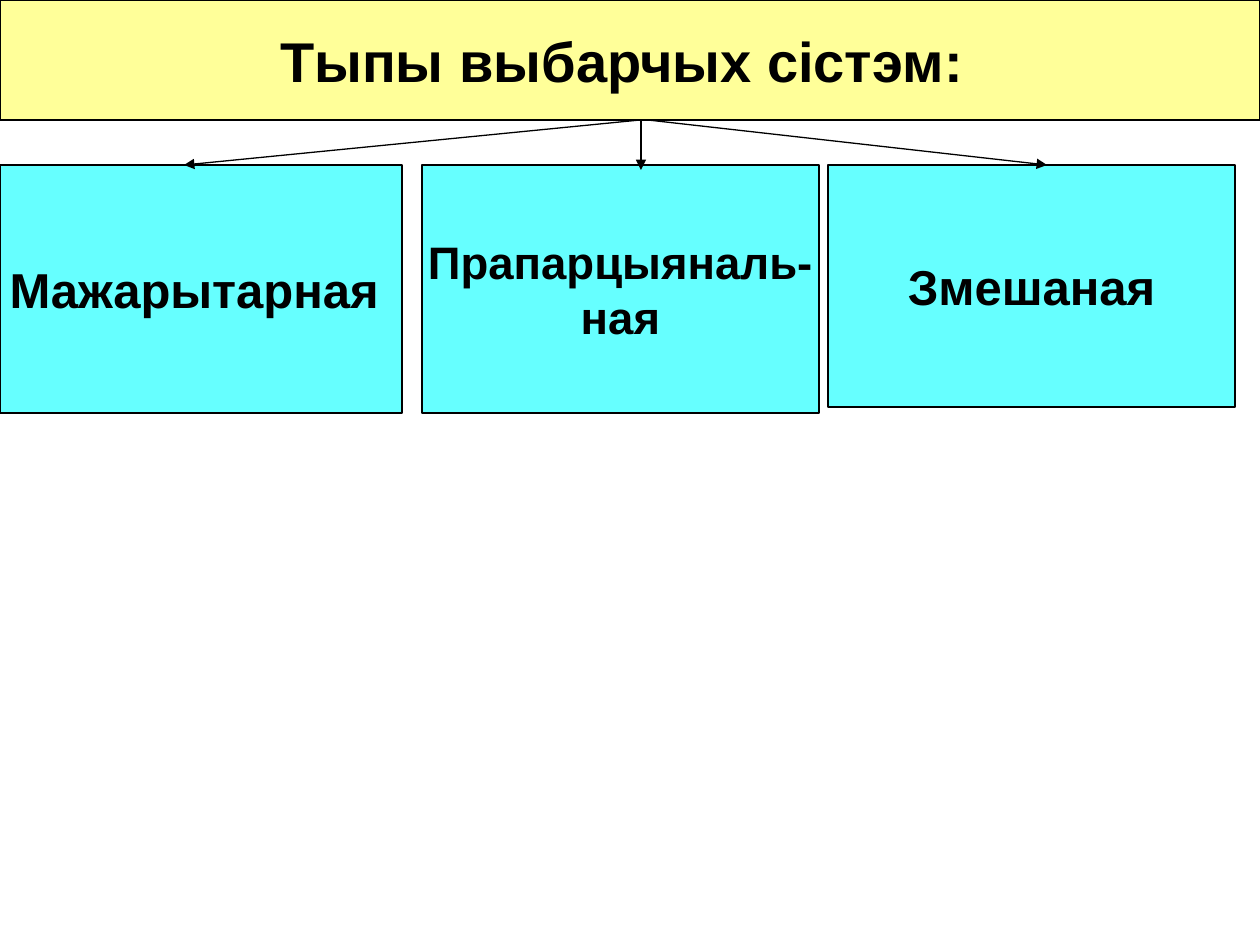
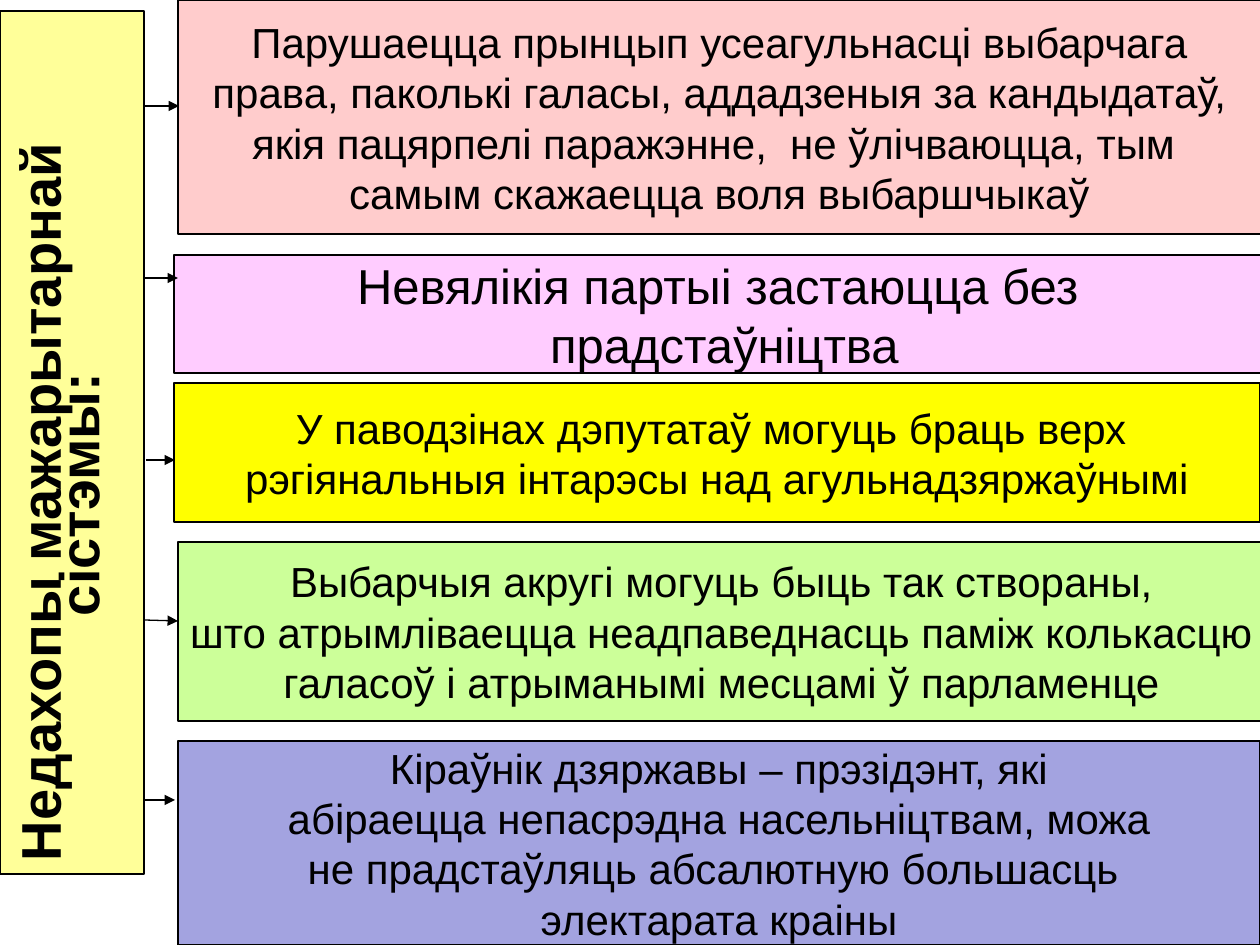
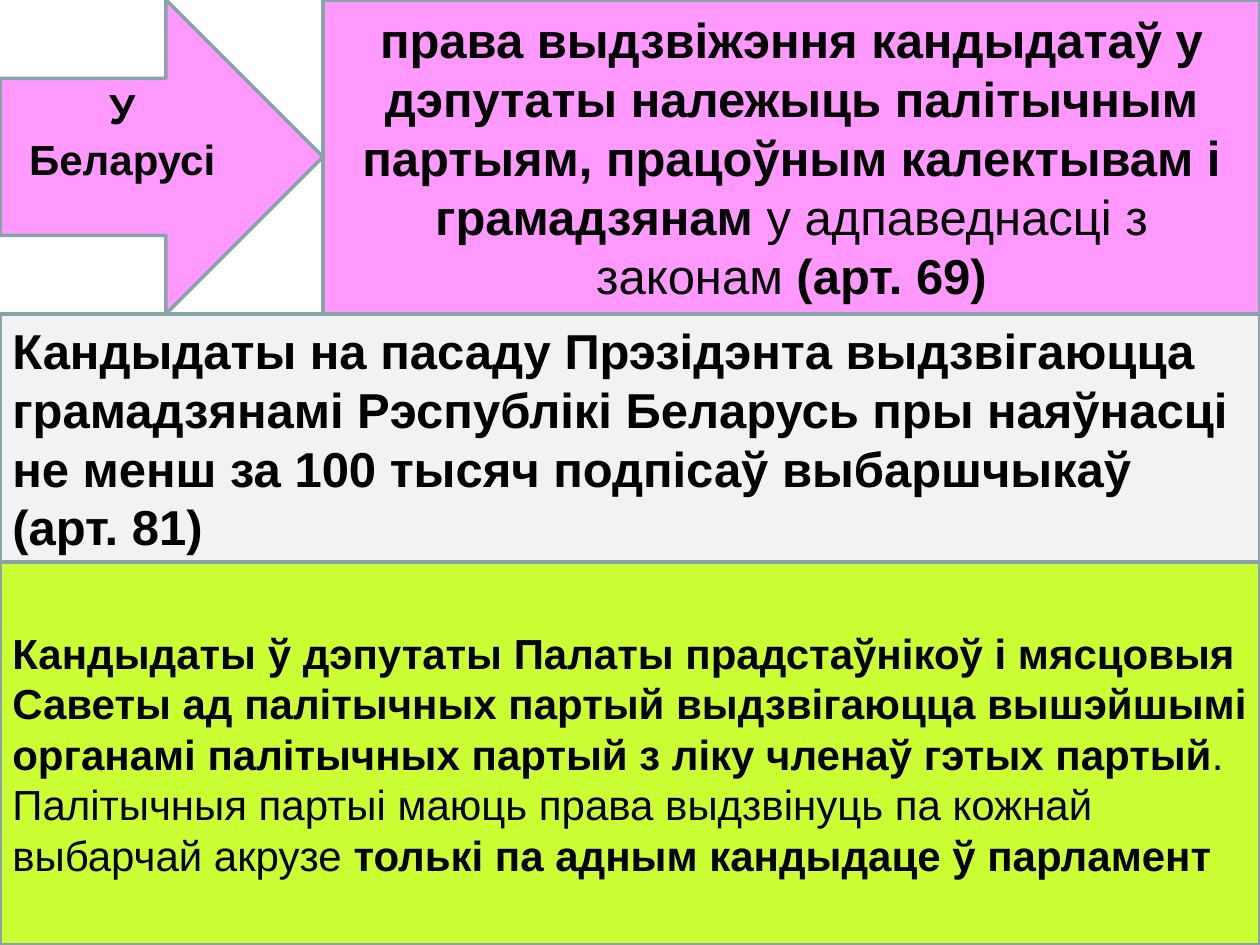
import pptx
import pptx.util
import pptx.dml.color
import pptx.enum.shapes
import pptx.enum.text
import pptx.oxml
import pptx.oxml.ns

PX = 914400 / 126
FONT = "Arial"
SHAPE = pptx.enum.shapes.MSO_SHAPE
ALIGN = pptx.enum.text.PP_ALIGN
TITLE_ONLY, BLANK = 5, 6

COLORS = {
    "black": "000000",
    "cream": "FFFF99",
    "aqua": "66FFFF",
    "rose": "FFCCCC",
    "lilac": "FFCCFF",
    "yellow": "FFFF00",
    "lime": "CCFF99",
    "lavender": "A3A3E0",
    "pink": "FF99FF",
    "grey": "F2F2F2",
    "acid": "CCFF33",
    "steel": "89A4A7",
}

SYSTEMS_TITLE = ["Тыпы выбарчых сістэм: "]
SYSTEMS = [
    ((0, 165, 402, 248), 28, ["Мажарытарная "]),
    ((422, 165, 397, 248), 26, ["Прапарцыяналь-", "ная"]),
    ((828, 165, 407, 242), 28, ["Змешаная"]),
]
SYSTEM_ARROWS = [(640, 120, 184, 165), (641, 120, 641, 170), (648, 120, 1047, 165)]

FLAWS_TITLE = ["Недахопы мажарытарнай", " сістэмы:"]
FLAWS = [
    ((178, 0, 1083, 234), "rose", 24, [
        "Парушаецца прынцып усеагульнасці выбарчага",
        " права, паколькі галасы, аддадзеныя за кандыдатаў, ",
        "якія пацярпелі паражэнне,  не ўлічваюцца, тым ",
        "самым скажаецца воля выбаршчыкаў",
    ]),
    ((174, 255, 1087, 118), "lilac", 28, [
        "Невялікія партыі застаюцца без",
        " прадстаўніцтва",
    ]),
    ((174, 383, 1086, 139), "yellow", 24, [
        "У паводзінах дэпутатаў могуць браць верх ",
        "рэгіянальныя інтарэсы над агульнадзяржаўнымі",
    ]),
    ((178, 542, 1087, 179), "lime", 24, [
        "Выбарчыя акругі могуць быць так створаны,",
        " што атрымліваецца неадпаведнасць паміж колькасцю ",
        "галасоў і атрыманымі месцамі ў парламенце",
    ]),
    ((178, 741, 1082, 204), "lavender", 24, [
        "Кіраўнік дзяржавы – прэзідэнт, які",
        " абіраецца непасрэдна насельніцтвам, можа ",
        "не прадстаўляць абсалютную большасць ",
        "электарата краіны",
    ]),
]
FLAW_ARROWS = [
    (145, 106, 179, 106),
    (145, 278, 178, 278),
    (146, 460, 175, 460),
    (144, 620, 178, 621),
    (145, 800, 175, 800),
]

COUNTRY = ["У Беларусі"]
NOMINATION = [
    ((323, 0, 937, 314), "pink", 28, ALIGN.CENTER, (
        "права выдзвіжэння кандыдатаў у дэпутаты належыць палітычным партыям, "
        "працоўным калектывам і грамадзянам",
        " у адпаведнасці з законам ",
        "(арт. 69)",
    )),
    ((0, 314, 1260, 248), "grey", 28, ALIGN.LEFT, (
        "Кандыдаты на пасаду Прэзідэнта выдзвігаюцца грамадзянамі Рэспублікі "
        "Беларусь пры наяўнасці не менш за 100 тысяч подпісаў выбаршчыкаў (арт. 81)",
    )),
    ((0, 562, 1260, 383), "acid", 24, ALIGN.LEFT, (
        "Кандыдаты ў дэпутаты Палаты прадстаўнікоў і мясцовыя Саветы ад палітычных "
        "партый выдзвігаюцца вышэйшымі органамі палітычных партый з ліку членаў "
        "гэтых партый",
        ". Палітычныя партыі маюць права выдзвінуць па кожнай выбарчай акрузе ",
        "толькі па адным кандыдаце ў парламент",
    )),
]


def px(n):
    return pptx.util.Emu(round(n * PX))


def rgb(name):
    return pptx.dml.color.RGBColor.from_string(COLORS[name])


def write(sp, paragraphs, size, bold, align, wrap):
    tf = sp.text_frame
    tf.auto_size = pptx.enum.text.MSO_AUTO_SIZE.NONE
    tf.word_wrap = wrap
    tf.vertical_anchor = pptx.enum.text.MSO_ANCHOR.MIDDLE
    for i, content in enumerate(paragraphs):
        p = tf.paragraphs[0] if i == 0 else tf.add_paragraph()
        p.alignment = align
        p.font.name = FONT
        p.font.size = pptx.util.Pt(size)
        p.font.color.rgb = rgb("black")
        runs = (content,) if isinstance(content, str) else content
        if len(runs) == 1:
            p.font.bold = bold
        for j, text in enumerate(runs):
            r = p.add_run()
            r.text = text
            if len(runs) > 1:
                r.font.bold = j % 2 == 0


def style(sp, at, fill, paragraphs, size, bold=False, align=ALIGN.CENTER,
          wrap=False, line="black", width=0.75):
    sp.left, sp.top, sp.width, sp.height = map(px, at)
    sp.fill.solid()
    sp.fill.fore_color.rgb = rgb(fill)
    sp.line.color.rgb = rgb(line)
    sp.line.width = pptx.util.Pt(width)
    write(sp, paragraphs, size, bold, align, wrap)
    return sp


def box(s, at, *args, kind=SHAPE.RECTANGLE, **options):
    sp = s.shapes.add_shape(kind, *map(px, at))
    sp.shadow.inherit = False
    return style(sp, at, *args, **options)


def arrow(s, ends):
    c = s.shapes.add_connector(pptx.enum.shapes.MSO_CONNECTOR.STRAIGHT, *map(px, ends))
    c.line.color.rgb = rgb("black")
    c.line.width = pptx.util.Pt(0.75)
    tail = pptx.oxml.parse_xml(
        f'<a:tailEnd {pptx.oxml.ns.nsdecls("a")} type="triangle"/>')
    c.line._get_or_add_ln().append(tail)
    c._element.spPr.append(
        pptx.oxml.parse_xml(f'<a:effectLst {pptx.oxml.ns.nsdecls("a")}/>'))


def add_slide(prs, layout):
    return prs.slides.add_slide(prs.slide_layouts[layout])


def systems_slide(prs):
    s = add_slide(prs, TITLE_ONLY)
    style(s.shapes.title, (0, 0, 1260, 120), "cream", SYSTEMS_TITLE, 32, bold=True)
    for at, size, paragraphs in SYSTEMS:
        box(s, at, "aqua", paragraphs, size, bold=True)
    for ends in SYSTEM_ARROWS:
        arrow(s, ends)


def flaws_slide(prs):
    s = add_slide(prs, TITLE_ONLY)
    title = style(s.shapes.title, (0, 11, 144, 863), "cream", FLAWS_TITLE, 32, bold=True)
    title.rotation = 180
    tf = title.text_frame
    tf._txBody.bodyPr.set("vert", "eaVert")
    tf.margin_left = tf.margin_right = px(6)
    tf.margin_top = tf.margin_bottom = px(13)
    for p in tf.paragraphs:
        p.line_spacing = pptx.util.Pt(22)
    for at, fill, size, paragraphs in FLAWS:
        box(s, at, fill, paragraphs, size)
    for ends in FLAW_ARROWS:
        arrow(s, ends)


def nomination_slide(prs):
    s = add_slide(prs, BLANK)
    frame = {"bold": True, "wrap": True, "line": "steel", "width": 2}
    country = box(s, (0, 0, 323, 314), "pink", COUNTRY, 24,
                  kind=SHAPE.RIGHT_ARROW, **frame)
    country.text_frame.margin_bottom = px(54)
    for at, fill, size, align, runs in NOMINATION:
        box(s, at, fill, [runs], size, align=align, **frame)


def main():
    prs = pptx.Presentation()
    prs.slide_width, prs.slide_height = px(1260), px(945)
    systems_slide(prs)
    flaws_slide(prs)
    nomination_slide(prs)
    prs.save("out.pptx")


if __name__ == "__main__":
    main()
